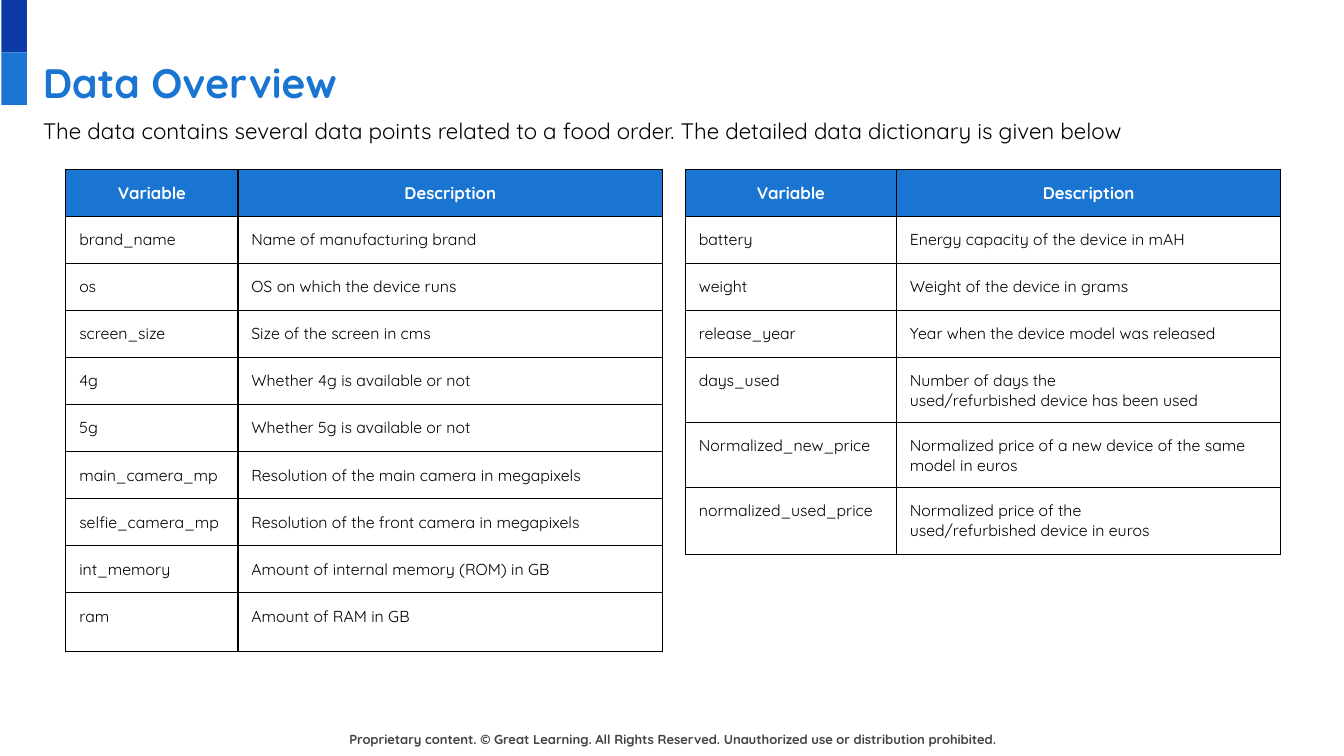
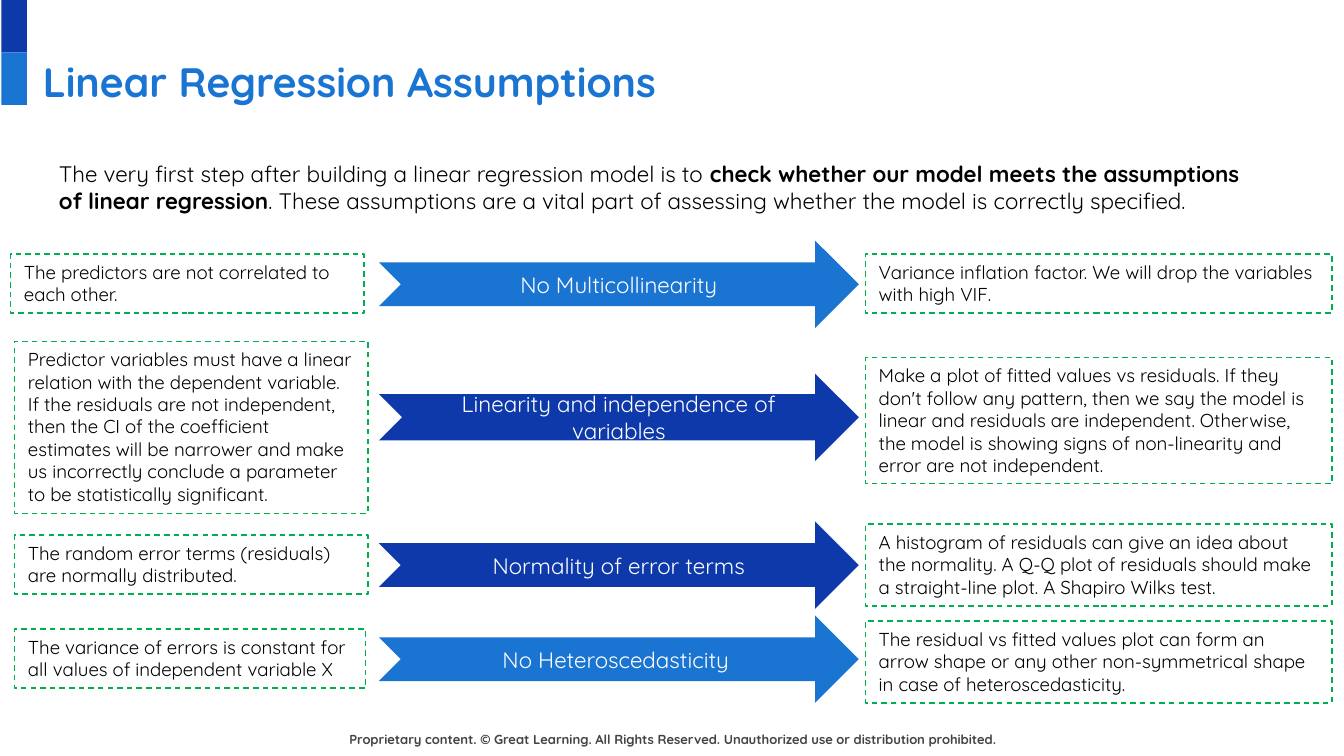
from dataclasses import dataclass

from lxml.etree import SubElement
from pptx import Presentation
from pptx.dml.color import RGBColor
from pptx.enum.dml import MSO_LINE
from pptx.enum.shapes import MSO_SHAPE
from pptx.enum.text import MSO_ANCHOR, MSO_AUTO_SIZE, PP_ALIGN
from pptx.oxml.ns import qn
from pptx.util import Inches, Pt


@dataclass(frozen=True)
class Theme:
    font: str = "Quicksand"
    navy: str = "0E39A9"
    blue: str = "1974D2"
    arrow_navy: str = "0E39AA"
    arrow_blue: str = "1A74D2"
    green: str = "00B050"
    black: str = "000000"
    white: str = "FFFFFF"
    grey: str = "434343"
    title: float = 22
    body: float = 12
    note: float = 10
    header: float = 9
    cell: float = 8.5
    footer: float = 7
    hairline: float = 0.75


T = Theme()
NBSP = chr(160)
DEVICE = f"{NBSP}device{NBSP}"
FOOTER = (
    "Proprietary content. © Great Learning. All Rights Reserved. "
    "Unauthorized use or distribution prohibited."
)


@dataclass(frozen=True)
class Box:
    left: float
    top: float
    width: float
    height: float

    def emu(self) -> tuple:
        return tuple(Inches(v) for v in (self.left, self.top, self.width, self.height))


@dataclass(frozen=True)
class Style:
    size: float
    color: str = T.black
    bold: bool = False
    align: PP_ALIGN = PP_ALIGN.LEFT


@dataclass(frozen=True)
class Dictionary:
    box: Box
    columns: tuple[float, float]
    row_height: float
    last_height: float
    entries: tuple[tuple[str, str], ...]


@dataclass(frozen=True)
class Note:
    box: Box
    paragraphs: tuple[str, ...]


@dataclass(frozen=True)
class Assumption:
    name: str
    top: float
    color: str
    meaning: Note
    check: Note
    shaft: float = 0.5


DICTIONARIES = (
    Dictionary(
        Box(0.49, 1.26, 4.44, 3.52), (1.28, 3.16), 0.35, 0.44,
        (
            ("brand_name", "Name of manufacturing brand"),
            ("os", "OS on which the device runs"),
            ("screen_size", "Size of the screen in cms"),
            ("4g", "Whether 4g is available or not"),
            ("5g", "Whether 5g is available or not"),
            ("main_camera_mp", "Resolution of the main camera in megapixels"),
            ("selfie_camera_mp", "Resolution of the front camera in megapixels"),
            ("int_memory", "Amount of internal memory (ROM) in GB"),
            ("ram", "Amount of RAM in GB"),
        ),
    ),
    Dictionary(
        Box(5.1, 1.26, 4.44, 2.82), (1.57, 2.86), 0.35, 0.5,
        (
            ("battery", "Energy capacity of the device in mAH"),
            ("weight", "Weight of the device in grams"),
            ("release_year", "Year when the device model was released"),
            ("days_used", f"Number of days the used/refurbished{DEVICE}has been used"),
            ("Normalized_new_price",
             f"Normalized price of a new{DEVICE}of the same model in euros"),
            ("normalized_used_price",
             f"Normalized price of the used/refurbished{DEVICE}in euros"),
        ),
    ),
)

ASSUMPTIONS = (
    Assumption(
        "No Multicollinearity", 1.79, T.arrow_blue,
        Note(Box(0.08, 1.89, 2.63, 0.44),
             ("The predictors are not correlated to each other.",)),
        Note(Box(6.44, 1.89, 3.47, 0.44),
             ("Variance inflation factor. We will drop the variables with high VIF.",)),
    ),
    Assumption(
        "Linearity and independence of variables", 2.78, T.arrow_navy,
        Note(Box(0.11, 2.54, 2.63, 1.28),
             ("Predictor variables must have a linear relation with the dependent variable.",
              "If the residuals are not independent, then the CI of the coefficient "
              "estimates will be narrower and make us incorrectly conclude a parameter "
              "to be statistically significant.")),
        Note(Box(6.44, 2.66, 3.47, 0.94),
             ("Make a plot of fitted values vs residuals. If they don't follow any "
              "pattern, then we say the model is linear and residuals are independent. "
              "Otherwise, the model is showing signs of non-linearity and error are not "
              "independent.",)),
        0.53,
    ),
    Assumption(
        "Normality of error terms", 3.88, T.arrow_navy,
        Note(Box(0.11, 3.98, 2.63, 0.44),
             ("The random error terms (residuals) are normally distributed.",)),
        Note(Box(6.44, 3.9, 3.47, 0.61),
             ("A histogram of residuals can give an idea about the normality. A Q-Q plot "
              "of residuals should make a straight-line plot. A Shapiro Wilks test.",)),
    ),
    Assumption(
        "No Heteroscedasticity ", 4.58, T.arrow_blue,
        Note(Box(0.11, 4.68, 2.61, 0.44),
             ("The variance of errors is constant for all values of independent variable X",)),
        Note(Box(6.44, 4.62, 3.47, 0.61),
             ("The residual vs fitted values plot can form an arrow shape or any other "
              "non-symmetrical shape in case of heteroscedasticity.",)),
    ),
)


def rgb(color: str) -> RGBColor:
    return RGBColor.from_string(color)


def style_paragraph(p, style: Style) -> None:
    p.alignment = style.align
    p.font.name = T.font
    p.font.size = Pt(style.size)
    p.font.bold = style.bold
    p.font.color.rgb = rgb(style.color)


def write(tf, paragraphs: tuple[str, ...], style: Style) -> None:
    tf.word_wrap = True
    for i, text in enumerate(paragraphs):
        p = tf.add_paragraph() if i else tf.paragraphs[0]
        p.text = text
        style_paragraph(p, style)


def add_text(s, box: Box, text: str, style: Style, inset: float = 0.1):
    tf = s.shapes.add_textbox(*box.emu()).text_frame
    tf.margin_top = tf.margin_bottom = Inches(inset)
    write(tf, (text,), style)
    return tf


def add_block(s, kind: MSO_SHAPE, box: Box, fill: str | None):
    sp = s.shapes.add_shape(kind, *box.emu())
    sp.shadow.inherit = False
    sp.line.fill.background()
    if fill:
        sp.fill.solid()
        sp.fill.fore_color.rgb = rgb(fill)
    else:
        sp.fill.background()
    return sp


def add_base_slide(prs, title: str, title_box: Box):
    s = prs.slides.add_slide(prs.slide_layouts[6])
    footer = add_text(s, Box(2.45, 5.38, 5.11, 0.3), FOOTER,
                      Style(T.footer, T.grey, True, PP_ALIGN.CENTER), 0.13)
    footer.paragraphs[0].line_spacing = 1.02
    for i, color in enumerate((T.navy, T.blue)):
        add_block(s, MSO_SHAPE.RECTANGLE, Box(0.01, 0.39 * i, 0.19, 0.39), color)
    add_text(s, title_box, title, Style(T.title, T.blue, True))
    return s


def border_cell(cell) -> None:
    tc_pr = cell._tc.get_or_add_tcPr()
    for i, side in enumerate(("lnL", "lnR", "lnT", "lnB")):
        ln = SubElement(tc_pr, qn(f"a:{side}"), w=str(Pt(T.hairline)))
        fill = SubElement(ln, qn("a:solidFill"))
        SubElement(fill, qn("a:srgbClr"), val=T.black)
        tc_pr.insert(i, ln)


def add_dictionary(s, d: Dictionary) -> None:
    rows = (("Variable", "Description"), *d.entries)
    table = s.shapes.add_table(len(rows), 2, *d.box.emu()).table
    table.first_row = table.horz_banding = False
    for column, width in zip(table.columns, d.columns):
        column.width = Inches(width)
    heights = (*[d.row_height] * len(d.entries), d.last_height)
    for r, (texts, height) in enumerate(zip(rows, heights)):
        table.rows[r].height = Inches(height)
        for c, text in enumerate(texts):
            cell = table.cell(r, c)
            cell.margin_left = cell.margin_right = Inches(0.1)
            cell.margin_top = cell.margin_bottom = Inches(0.1)
            if r:
                style = Style(T.cell)
                cell.fill.background()
            else:
                style = Style(T.header, T.white, True, PP_ALIGN.CENTER)
                cell.fill.solid()
                cell.fill.fore_color.rgb = rgb(T.blue)
            cell.text = text
            style_paragraph(cell.text_frame.paragraphs[0], style)
            border_cell(cell)


def add_arrow(s, a: Assumption) -> None:
    sp = add_block(s, MSO_SHAPE.NOTCHED_RIGHT_ARROW, Box(2.82, a.top, 3.57, 0.65), a.color)
    sp.adjustments[0] = a.shaft
    sp.text_frame.vertical_anchor = MSO_ANCHOR.MIDDLE
    write(sp.text_frame, (a.name,), Style(T.body, T.white, align=PP_ALIGN.CENTER))


def add_note(s, note: Note) -> None:
    sp = add_block(s, MSO_SHAPE.RECTANGLE, note.box, None)
    sp.line.color.rgb = rgb(T.green)
    sp.line.width = Pt(T.hairline)
    sp.line.dash_style = MSO_LINE.DASH
    tf = sp.text_frame
    tf.vertical_anchor = MSO_ANCHOR.TOP
    tf.auto_size = MSO_AUTO_SIZE.SHAPE_TO_FIT_TEXT
    write(tf, note.paragraphs, Style(T.note))


def build_overview(prs) -> None:
    s = add_base_slide(prs, "Data Overview", Box(0.22, 0.33, 9.32, 0.47))
    add_text(s, Box(0.22, 0.77, 9.44, 0.47),
             "The data contains several data points related to a food order. "
             "The detailed data dictionary is given below", Style(T.body))
    for d in DICTIONARIES:
        add_dictionary(s, d)


def build_assumptions(prs) -> None:
    s = add_base_slide(prs, "Linear Regression Assumptions", Box(0.22, 0.32, 9.32, 0.63))
    tf = add_text(s, Box(0.34, 1.14, 9.2, 0.5),
                  "The very first step after building a linear regression model is to ",
                  Style(T.body), 0.05)
    tf.auto_size = MSO_AUTO_SIZE.SHAPE_TO_FIT_TEXT
    p = tf.paragraphs[0]
    for text, bold in (
        ("check whether our model meets the assumptions of linear regression", True),
        (". These assumptions are a vital part of assessing whether the model is "
         "correctly specified.", False),
    ):
        r = p.add_run()
        r.text = text
        r.font.bold = bold
    for a in ASSUMPTIONS:
        add_arrow(s, a)
        add_note(s, a.meaning)
        add_note(s, a.check)


def main() -> None:
    prs = Presentation()
    prs.slide_width = Inches(10)
    prs.slide_height = Inches(10) * 9 // 16
    build_overview(prs)
    build_assumptions(prs)
    prs.save("out.pptx")


if __name__ == "__main__":
    main()
